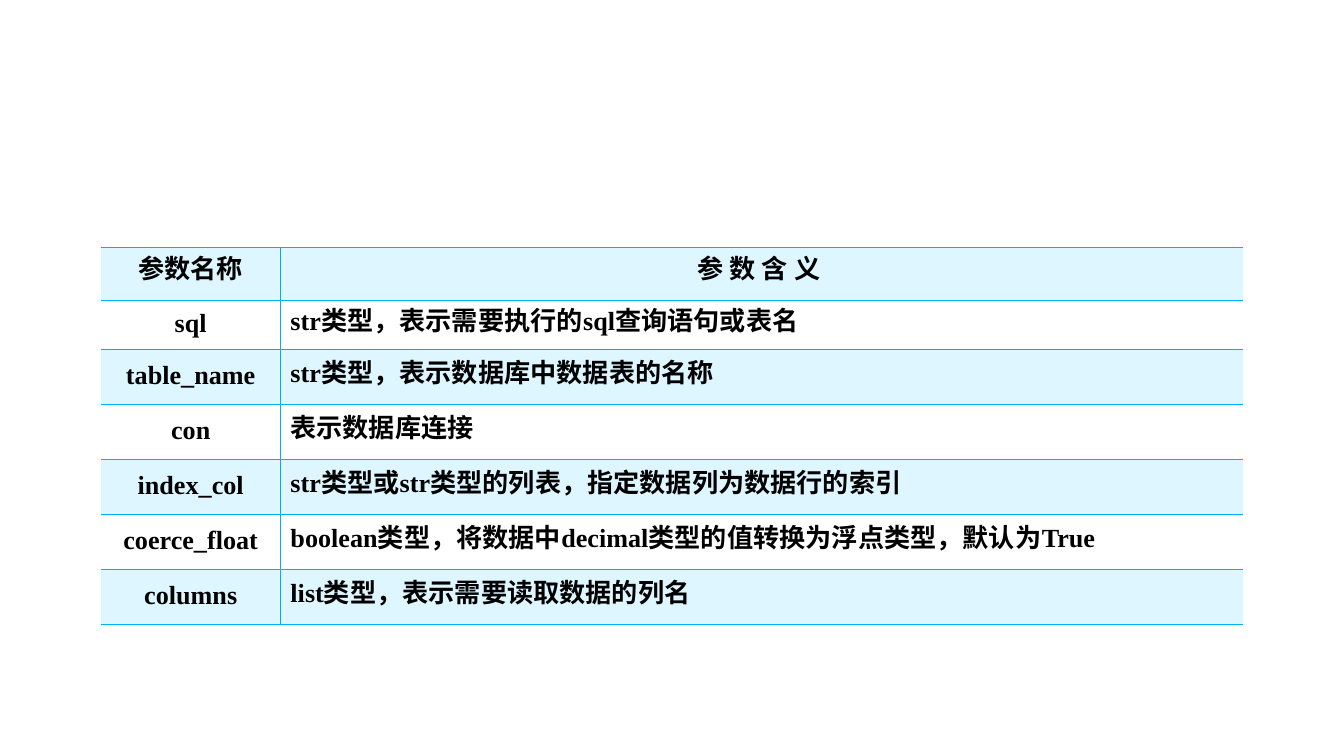
import pptx
import pptx.dml.color
import pptx.enum.text
import pptx.oxml
import pptx.oxml.ns
import pptx.util
from lxml import etree

Cm = pptx.util.Cm
Pt = pptx.util.Pt
ALIGN = pptx.enum.text.PP_ALIGN
qn = pptx.oxml.ns.qn

COLORS = {"text": "000000", "rule": "00B0F0", "band": "5DD5FF"}
BAND_OPACITY = 20
RULE_WIDTH = Pt(0.23)

PARAMETERS = [
    ("参数名称", "参 数 含 义 "),
    ("sql", "str类型，表示需要执行的sql查询语句或表名"),
    ("table_name", "str类型，表示数据库中数据表的名称"),
    ("con", "表示数据库连接"),
    ("index_col", "str类型或str类型的列表，指定数据列为数据行的索引"),
    ("coerce_float", "boolean类型，将数据中decimal类型的值转换为浮点类型，默认为True"),
    ("columns", "list类型，表示需要读取数据的列名"),
]
COLUMN_WIDTHS = [3.39, 18.2]
ROW_HEIGHTS = [1.0, 0.93] + [1.04] * 5


def write_text(frame, text, *, size=14, bold=True, color="text",
               font="Times New Roman", align=ALIGN.LEFT, spacing=14):
    paragraph = frame.paragraphs[0]
    paragraph.alignment = align
    paragraph.line_spacing = Pt(spacing)
    run = paragraph.add_run()
    run.text = text
    run.font.name = font
    run.font.size = Pt(size)
    run.font.bold = bold
    run.font.color.rgb = pptx.dml.color.RGBColor.from_string(COLORS[color])


def set_borders(cell, ruled_sides):
    """Rule the given sides of a cell (letters of LRTB) and clear the others."""
    properties = cell._tc.get_or_add_tcPr()
    for side in "LRTB":
        line = etree.SubElement(properties, qn(f"a:ln{side}"), w=str(RULE_WIDTH))
        if side in ruled_sides:
            fill = etree.SubElement(line, qn("a:solidFill"))
            etree.SubElement(fill, qn("a:srgbClr"), val=COLORS["rule"])
        else:
            etree.SubElement(line, qn("a:noFill"))


def set_band(cell, banded):
    """Give a cell the translucent band colour, or no fill."""
    if not banded:
        cell.fill.background()
        return
    cell.fill.solid()
    cell.fill.fore_color.rgb = pptx.dml.color.RGBColor.from_string(COLORS["band"])
    tint = cell._tc.tcPr.find(f"{qn('a:solidFill')}/{qn('a:srgbClr')}")
    etree.SubElement(tint, qn("a:alpha"), val=str(BAND_OPACITY * 1000))


def add_parameter_table(slide):
    frame = slide.shapes.add_table(
        len(PARAMETERS), len(COLUMN_WIDTHS), Cm(1.91), Cm(4.67),
        Cm(sum(COLUMN_WIDTHS)), Cm(sum(ROW_HEIGHTS)))
    table = frame.table
    table.first_row = table.horz_banding = False
    for column, width in zip(table.columns, COLUMN_WIDTHS):
        column.width = Cm(width)
    for row, height in zip(table.rows, ROW_HEIGHTS):
        row.height = Cm(height)

    for row_index, entry in enumerate(PARAMETERS):
        for column_index, text in enumerate(entry):
            cell = table.cell(row_index, column_index)
            cell.vertical_anchor = pptx.enum.text.MSO_ANCHOR.MIDDLE
            cell.margin_left = cell.margin_right = Cm(0.19)
            cell.margin_top = cell.margin_bottom = Cm(0.13)
            is_name = column_index == 0
            set_borders(cell, "RTB" if is_name else "LTB")
            set_band(cell, row_index % 2 == 0)
            centered = is_name or row_index == 0
            write_text(cell.text_frame, text,
                       align=ALIGN.CENTER if centered else ALIGN.LEFT)


def main():
    deck = pptx.Presentation()
    deck.slide_width, deck.slide_height = Cm(25.4), Cm(14.29)
    slide = deck.slides.add_slide(deck.slide_layouts[6])
    add_parameter_table(slide)
    deck.save("out.pptx")


if __name__ == "__main__":
    main()
